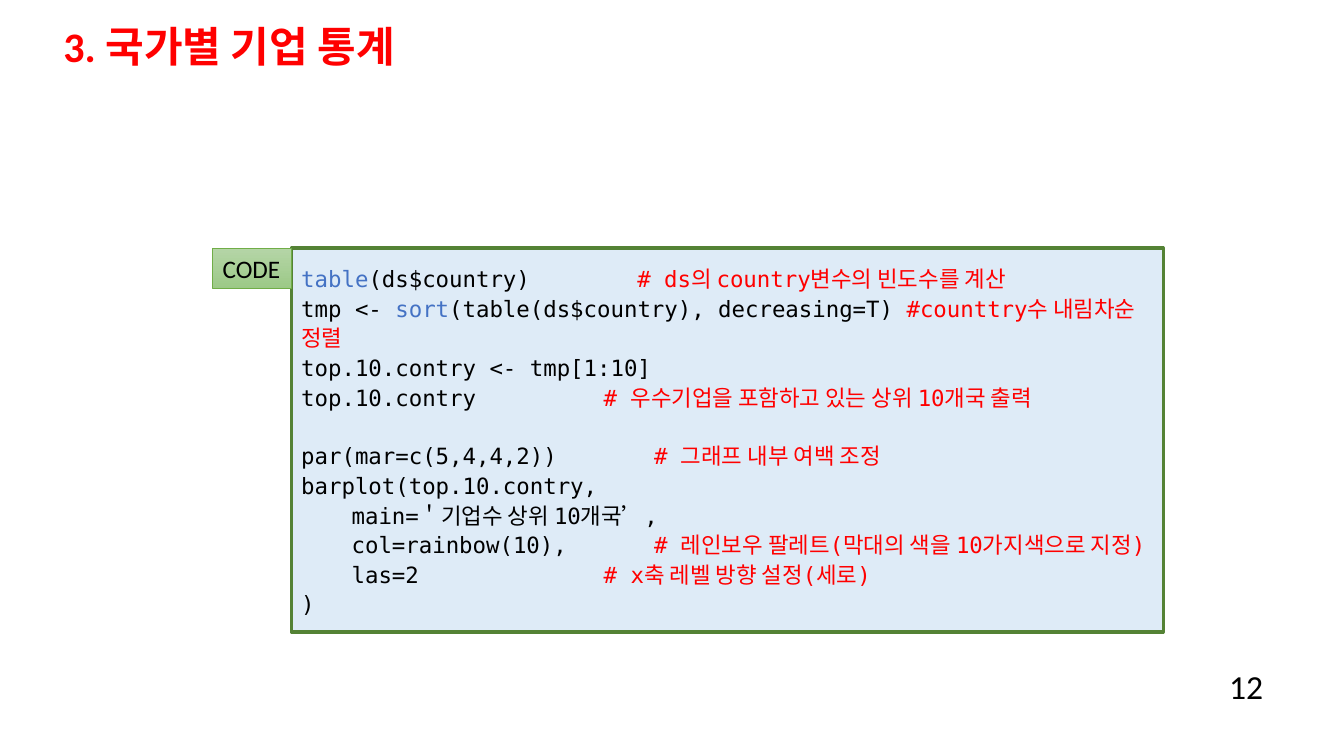
"""Build the slide on company statistics by country with its R code panel."""
from lxml import etree
from pptx import Presentation
from pptx.dml import color
from pptx.enum import shapes, text
from pptx.oxml import ns
from pptx.util import Pt

BLACK, RED, BLUE = "000000", "FF0000", "4472C4"
MONO = "DejaVu Sans Mono"
TAB_STEP, FIRST_COMMENT_STOP, BLANK_LINE = 36, 240, 21


def rgb(value):
    return color.RGBColor.from_string(value)


def add_run(paragraph, words, size, hue, font="Calibri"):
    run = paragraph.add_run()
    run.text = words
    run.font.size = Pt(size)
    run.font.name = font
    run.font.color.rgb = rgb(hue)
    return run


deck = Presentation()
deck.slide_width, deck.slide_height = Pt(960), Pt(540)
slide = deck.slides.add_slide(deck.slide_layouts[5])

heading = slide.shapes.title
heading.left, heading.top, heading.width, heading.height = Pt(38.16), Pt(8.64), Pt(888.5), Pt(52.56)
heading.text_frame.vertical_anchor = text.MSO_ANCHOR.MIDDLE
heading_line = heading.text_frame.paragraphs[0]
heading_line.alignment = text.PP_ALIGN.LEFT
heading_line.line_spacing = 0.9
add_run(heading_line, "3. 국가별 기업 통계", 30, RED).font.bold = True

code_lines = [
    [("table", BLUE), ("(ds$country)\t", BLACK), ("# ds의 country변수의 빈도수를 계산", RED)],
    [("tmp <- ", BLACK), ("sort", BLUE), ("(table(ds$country), decreasing=T) ", BLACK),
     ("#counttry수 내림차순 정렬", RED)],
    [("top.10.contry <- tmp[1:10]", BLACK)],
    [("top.10.contry \t\t\t", BLACK), ("# 우수기업을 포함하고 있는 상위 10개국 출력", RED)],
    [("par(mar=c(5,4,4,2)) \t\t", BLACK), ("# 그래프 내부 여백 조정", RED)],
    [("barplot(top.10.contry,", BLACK)],
    [("\tmain=＇기업수 상위 10개국’,", BLACK)],
    [("\tcol=rainbow(10),\t\t", BLACK), ("# 레인보우 팔레트(막대의 색을 10가지색으로 지정)", RED)],
    [("\tlas=2\t\t\t\t", BLACK), ("# x축 레벨 방향 설정(세로)", RED)],
    [(")", BLACK)],
]
second_block = 4

code_panel = slide.shapes.add_shape(
    shapes.MSO_SHAPE.RECTANGLE, Pt(208.08), Pt(177.12), Pt(622.8), Pt(274.32))
code_panel.shadow.inherit = False
code_panel.fill.solid()
code_panel.fill.fore_color.rgb = rgb("DEEBF7")
code_panel.line.color.rgb = rgb("548235")
code_panel.line.width = Pt(2.25)
code = code_panel.text_frame
code.word_wrap = True
code.vertical_anchor = text.MSO_ANCHOR.MIDDLE

for index, pieces in enumerate(code_lines):
    line = code.paragraphs[0] if index == 0 else code.add_paragraph()
    line.alignment = text.PP_ALIGN.LEFT
    line.line_spacing = 1.1
    if index == second_block:
        line.space_before = Pt(BLANK_LINE)
    stops = [FIRST_COMMENT_STOP] if index == 0 else [TAB_STEP * n for n in range(1, 9)]
    tab_list = etree.SubElement(line._p.get_or_add_pPr(), ns.qn("a:tabLst"))
    for stop in stops:
        etree.SubElement(tab_list, ns.qn("a:tab"), pos=str(Pt(stop)), algn="l")
    for words, hue in pieces:
        add_run(line, words, 16, hue, MONO)

code_tag = slide.shapes.add_shape(
    shapes.MSO_SHAPE.RECTANGLE, Pt(151.92), Pt(177.12), Pt(56.16), Pt(28.8))
code_tag.shadow.inherit = False
code_tag.fill.gradient()
code_tag.fill.gradient_angle = 270
for stop, hue in zip(code_tag.fill.gradient_stops, ("B5D5A7", "9CC987")):
    stop.color.rgb = rgb(hue)
code_tag.line.color.rgb = rgb("70AD47")
code_tag.line.width = Pt(0.5)
code_tag.text_frame.word_wrap = False
code_tag.text_frame.paragraphs[0].alignment = text.PP_ALIGN.LEFT
add_run(code_tag.text_frame.paragraphs[0], "CODE", 18, BLACK)

page_number = slide.shapes.add_textbox(Pt(848.16), Pt(475.92), Pt(61.2), Pt(28.8)).text_frame
page_number.word_wrap = True
page_number.vertical_anchor = text.MSO_ANCHOR.MIDDLE
page_number.paragraphs[0].alignment = text.PP_ALIGN.RIGHT
add_run(page_number.paragraphs[0], "12", 24, BLACK)

deck.save("out.pptx")
